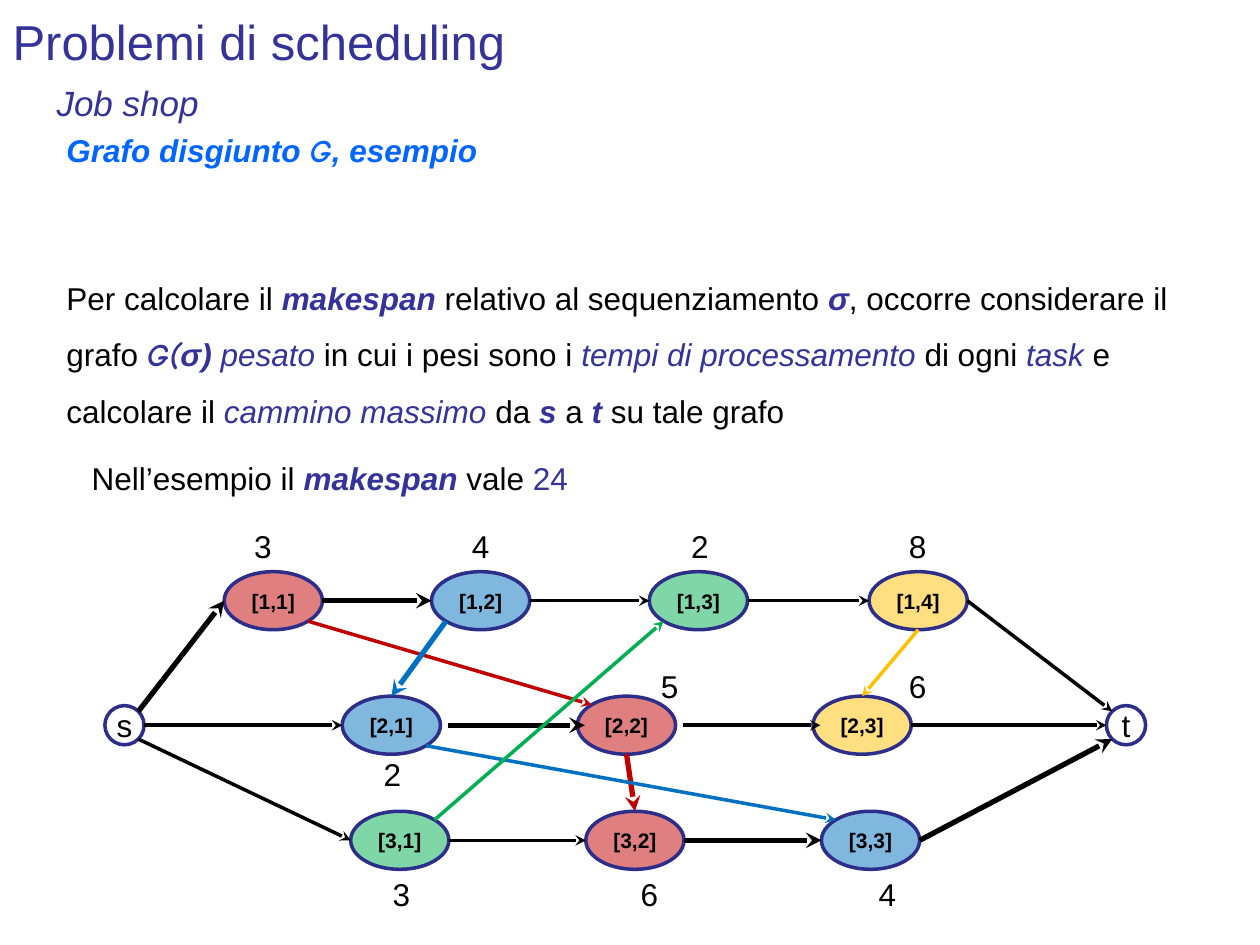
"""Build the job shop slide with the weighted disjunctive graph."""
from math import hypot
from pptx import Presentation
from pptx.dml.color import RGBColor
from pptx.enum import shapes, text
from pptx.oxml import parse_xml
from pptx.oxml.ns import nsdecls, qn
from pptx.util import Cm, Pt

BLACK, INDIGO, BRIGHT, OUTLINE, WHITE = "000000", "333399", "0066FF", "2D2D8A", "FFFFFF"
RED, BLUE, GREEN, YELLOW = "C00000", "0070C0", "00B050", "FFC000"

PLAIN = {}
TERM = dict(color=INDIGO, italic=True)
KEY = dict(TERM, bold=True)
HEADING = dict(color=BRIGHT, bold=True, italic=True)
SCRIPT = "Comic Neue"

TITLE = [("Problemi di scheduling", dict(size=28, color=INDIGO))]
TEXTS = [
    ((0.89, 1.52, 23.22, 1.19), 1, [("Job shop", dict(TERM, size=20))]),
    ((1.09, 2.51, 23.8, 1.02), 1, [
        ("Grafo disgiunto ", HEADING), ("G", dict(HEADING, font=SCRIPT)),
        (", esempio", HEADING)]),
    ((1.09, 5.11, 23.8, 3.58), 1.5, [
        ("Per calcolare il ", PLAIN), ("makespan", KEY),
        (" relativo al sequenziamento ", PLAIN), ("σ", KEY),
        (", occorre considerare il grafo ", PLAIN),
        ("G(", dict(KEY, font=SCRIPT)), ("σ) ", KEY), ("pesato ", TERM),
        ("in cui i pesi sono i ", PLAIN), ("tempi di processamento ", TERM),
        ("di ogni ", PLAIN), ("task ", TERM), ("e calcolare il ", PLAIN),
        ("cammino massimo ", TERM), ("da ", PLAIN), ("s", KEY), (" a ", PLAIN),
        ("t ", KEY), ("su tale grafo", PLAIN)]),
    ((1.6, 8.74, 23.8, 1.4), 1.5, [
        ("Nell’esempio il ", PLAIN), ("makespan", KEY), (" vale ", PLAIN),
        ("24", dict(color=INDIGO))]),
]

TASK_SIZE, TERMINAL_SIZE, WEIGHT_SIZE = (1.98, 1.17), (0.79, 0.79), (1.6, 0.99)
ROWS = [
    (12.11, [5.51, 9.69, 14.08, 18.51], [RED, BLUE, GREEN, YELLOW]),
    (14.62, [7.89, 12.63, 17.38], [BLUE, RED, YELLOW]),
    (16.94, [8.06, 12.8, 17.55], [GREEN, RED, BLUE]),
]
TERMINALS = {"s": (2.51, 14.62), "t": (22.7, 14.62)}
WEIGHTS = [
    (11.01, [("3", 5.3), ("4", 9.69), ("2", 14.11), ("8", 18.5)]),
    (13.83, [("5", 13.5), ("6", 18.5)]),
    (15.61, [("2", 7.91)]),
    (18.02, [("3", 8.09), ("6", 13.09), ("4", 17.89)]),
]

SIDES = {"N": (0, -1), "S": (0, 1), "E": (1, 0), "W": (-1, 0),
         "NE": (1, -1), "NW": (-1, -1), "SE": (1, 1), "SW": (-1, 1)}
THIN, THICK = 2, 3
GAP = 0.15
ARROWS = [
    ("s", "NE", "[1,1]", "W", BLACK, THICK, 0),
    ("s", "E", "[2,1]", "W", BLACK, THIN, 0),
    ("s", "SE", "[3,1]", "W", BLACK, THIN, 0),
    ("[1,1]", "E", "[1,2]", "W", BLACK, THICK, 0),
    ("[1,2]", "E", "[1,3]", "W", BLACK, THIN, 0),
    ("[1,3]", "E", "[1,4]", "W", BLACK, THIN, 0),
    ("[2,1]", "E", "[2,2]", "W", BLACK, THICK, GAP),
    ("[2,2]", "E", "[2,3]", "W", BLACK, THIN, GAP),
    ("[3,1]", "E", "[3,2]", "W", BLACK, THIN, 0),
    ("[3,2]", "E", "[3,3]", "W", BLACK, THICK, 0),
    ("[1,4]", "E", "t", "NW", BLACK, THIN, 0),
    ("[2,3]", "E", "t", "W", BLACK, THIN, 0),
    ("[3,3]", "E", "t", "SW", BLACK, THICK, 0),
    ("[1,1]", "SE", "[2,2]", "NW", RED, THIN, 0),
    ("[2,2]", "S", "[3,2]", "N", RED, THICK, 0),
    ("[1,2]", "SW", "[2,1]", "N", BLUE, THICK, 0),
    ("[2,1]", "SE", "[3,3]", "NW", BLUE, THIN, 0),
    ("[3,1]", "NE", "[1,3]", "SW", GREEN, THIN, 0),
    ("[1,4]", "S", "[2,3]", "N", YELLOW, THIN, 0),
]


def rgb(value):
    return RGBColor.from_string(value)


def add_span(para, content, size=18, font="Arial", color=BLACK, bold=False, italic=False):
    span = para.add_run()
    span.text = content
    span.font.size, span.font.name = Pt(size), font
    span.font.bold, span.font.italic = bold, italic
    span.font.color.rgb = rgb(color)


def write(shape, spans, align=text.PP_ALIGN.LEFT, anchor=text.MSO_ANCHOR.TOP,
          spacing=1, wrap=True):
    frame = shape.text_frame
    frame.auto_size = text.MSO_AUTO_SIZE.NONE
    frame.word_wrap, frame.vertical_anchor = wrap, anchor
    para = frame.paragraphs[0]
    para.alignment, para.line_spacing = align, spacing
    for content, style in spans:
        add_span(para, content, **style)


def write_centred(shape, content, **style):
    write(shape, [(content, style)], align=text.PP_ALIGN.CENTER,
          anchor=text.MSO_ANCHOR.MIDDLE, wrap=False)


def around(center, extent):
    (x, y), (width, height) = center, extent
    return [Cm(v) for v in (x - width / 2, y - height / 2, width, height)]


def add_node(slide, label, center, extent, fill, opacity=100, **style):
    node = slide.shapes.add_shape(shapes.MSO_SHAPE.OVAL, *around(center, extent))
    node.shadow.inherit = False
    node.fill.solid()
    node.fill.fore_color.rgb = rgb(fill)
    if opacity < 100:
        color = node._element.spPr.find(qn("a:solidFill"))[0]
        color.append(parse_xml(f'<a:alpha {nsdecls("a")} val="{opacity * 1000}"/>'))
    node.line.color.rgb = rgb(OUTLINE)
    node.line.width = Pt(2)
    write_centred(node, label, **style)
    return center, extent


def rim_point(node, side, shift):
    (x, y), (width, height) = node
    dx, dy = SIDES[side]
    reach = 2 * hypot(dx, dy)
    return Cm(x + dx * width / reach + shift), Cm(y + dy * height / reach)


def add_arrow(slide, start, end, color, width):
    arrow = slide.shapes.add_connector(shapes.MSO_CONNECTOR.STRAIGHT, *start, *end)
    arrow.line.color.rgb = rgb(color)
    arrow.line.width = Pt(width)
    properties = arrow._element.spPr
    properties.find(qn("a:ln")).append(
        parse_xml(f'<a:tailEnd {nsdecls("a")} type="stealth"/>'))
    properties.append(parse_xml(f'<a:effectLst {nsdecls("a")}/>'))


def main():
    deck = Presentation()
    deck.slide_width, deck.slide_height = Cm(25.4), Cm(19.05)
    slide = deck.slides.add_slide(deck.slide_layouts[5])
    title = slide.shapes.title
    title.left, title.top, title.width, title.height = Cm(0), Cm(-0.08), Cm(22.86), Cm(1.8)
    write(title, TITLE, anchor=text.MSO_ANCHOR.MIDDLE)

    for place, spacing, spans in TEXTS:
        box = slide.shapes.add_textbox(*map(Cm, place))
        write(box, spans, spacing=spacing)

    nodes = {}
    for name, center in TERMINALS.items():
        nodes[name] = add_node(slide, name, center, TERMINAL_SIZE, WHITE)
    for row, (y, columns, fills) in enumerate(ROWS, 1):
        for column, (x, fill) in enumerate(zip(columns, fills), 1):
            name = f"[{row},{column}]"
            nodes[name] = add_node(slide, name, (x, y), TASK_SIZE, fill,
                                   opacity=50, size=12, bold=True)

    for source, exit_side, target, entry_side, color, width, shift in ARROWS:
        add_arrow(slide, rim_point(nodes[source], exit_side, shift),
                  rim_point(nodes[target], entry_side, shift), color, width)

    for y, weights in WEIGHTS:
        for value, x in weights:
            box = slide.shapes.add_textbox(*around((x, y), WEIGHT_SIZE))
            write_centred(box, value)

    deck.save("out.pptx")


if __name__ == "__main__":
    main()
